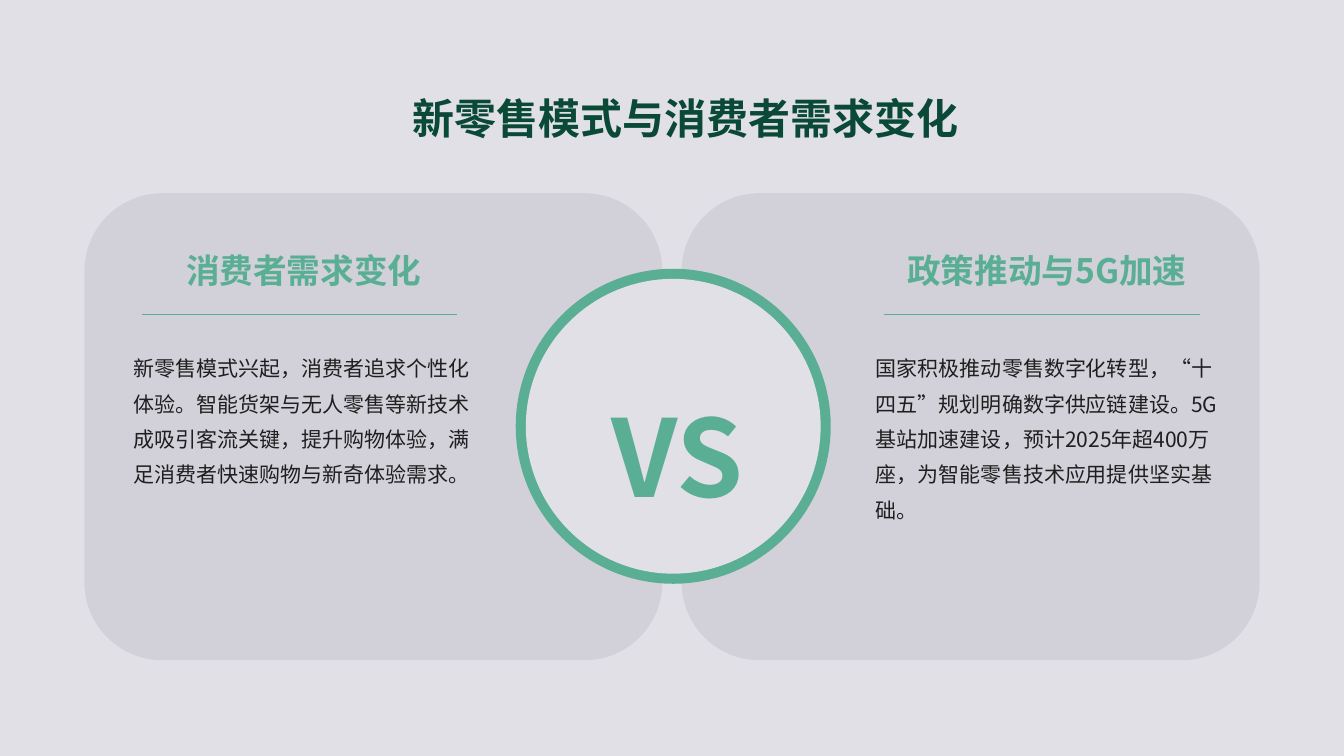
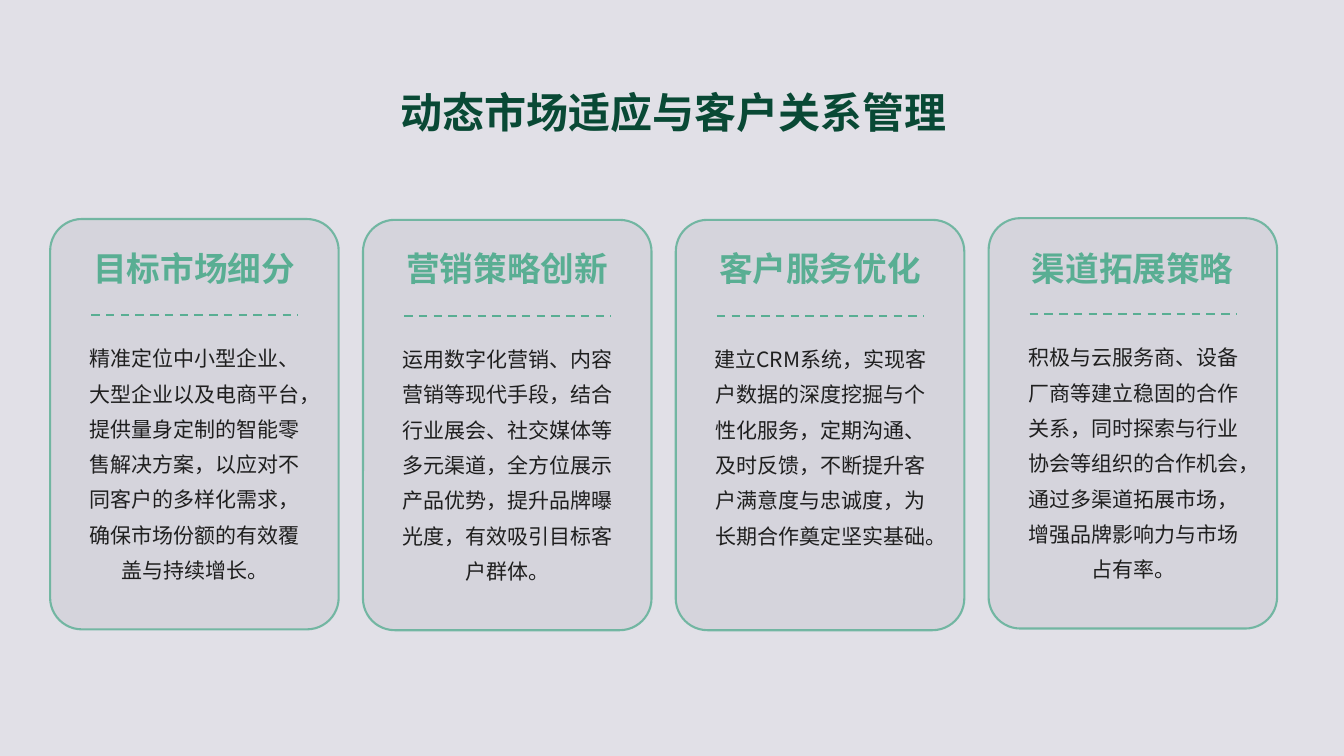
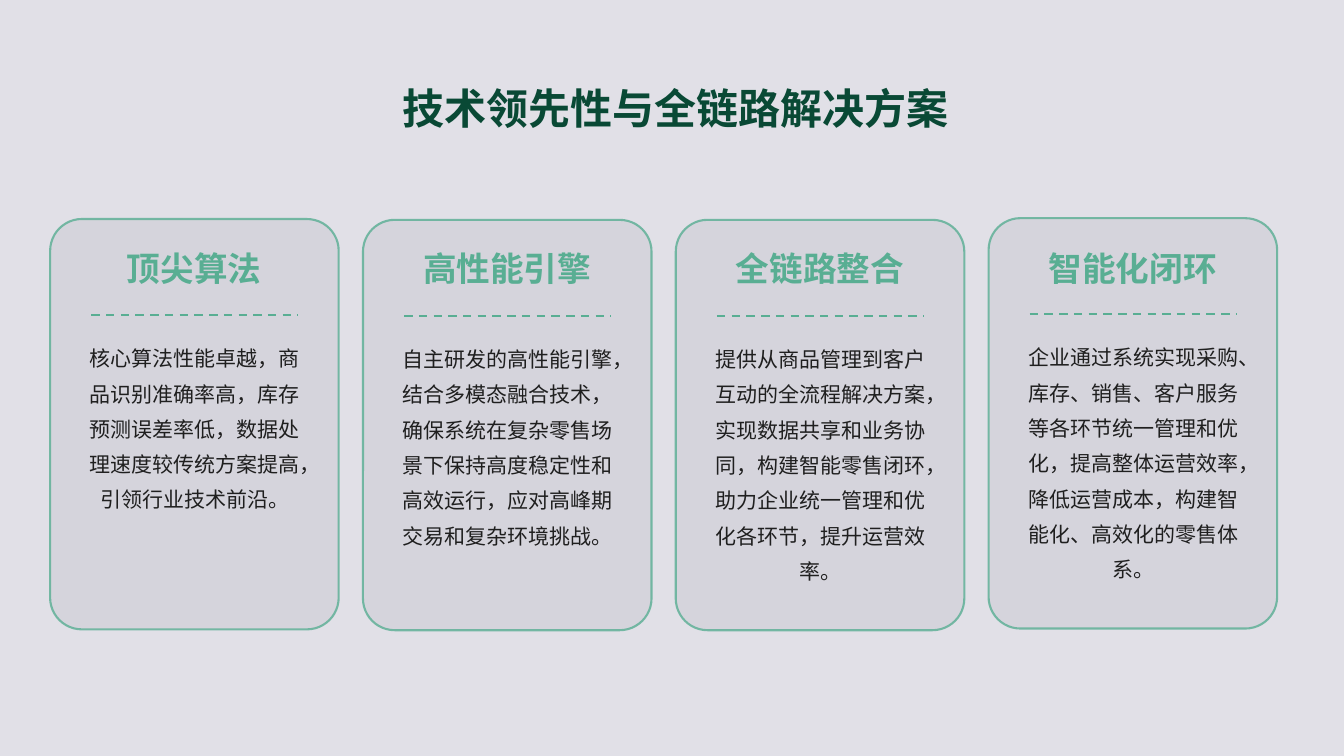
from lxml import etree
from pptx import Presentation
from pptx.dml.color import RGBColor
from pptx.enum.dml import MSO_LINE
from pptx.enum.lang import MSO_LANGUAGE_ID
from pptx.enum.shapes import MSO_CONNECTOR, MSO_SHAPE
from pptx.enum.text import MSO_ANCHOR, PP_ALIGN
from pptx.oxml.ns import qn
from pptx.util import Inches, Pt

ROUND, OVAL = MSO_SHAPE.ROUNDED_RECTANGLE, MSO_SHAPE.OVAL
STRAIGHT, DASH = MSO_CONNECTOR.STRAIGHT, MSO_LINE.DASH
LEFT, CENTER = PP_ALIGN.LEFT, PP_ALIGN.CENTER
TOP, MIDDLE = MSO_ANCHOR.TOP, MSO_ANCHOR.MIDDLE
CHINESE = MSO_LANGUAGE_ID.SIMPLIFIED_CHINESE

COLORS = {"back": "E1E0E7", "card": "D2D1DA", "mint": "59AE93",
          "pine": "094935", "ink": "1F1F1F"}
FONT = "Noto Sans CJK SC"
COLS, ROWS = 160, 90
WIDE = (0.14, 0.14, 0.06, 0.14)
SLIM = (0.1, 0.05, 0.1, 0.05)


def tint(name):
    return RGBColor.from_string(COLORS[name])


class Deck:
    """Holds the style and the current slide; lengths are grid columns and rows."""

    def __init__(self):
        self.prs = Presentation()
        self.prs.slide_width, self.prs.slide_height = Inches(13.33), Inches(7.5)
        fill = self.prs.slide_master.background.fill
        fill.solid()
        fill.fore_color.rgb = tint("back")

    def grid(self, *spans):
        """Turn alternating column and row counts into lengths."""
        units = (self.prs.slide_width / COLS, self.prs.slide_height / ROWS)
        return [round(span * units[i % 2]) for i, span in enumerate(spans)]

    def page(self, title, x, y):
        self.slide = self.prs.slides.add_slide(self.prs.slide_layouts[6])
        self.text(title, (x, y, 147.5, 12), 30, "pine", bold=True,
                  anchor=MIDDLE, space=1.4)

    def shape(self, kind, box, fill, line=None, adj=None, alpha=None):
        item = self.slide.shapes.add_shape(kind, *self.grid(*box))
        item.shadow.inherit = False
        item.fill.solid()
        item.fill.fore_color.rgb = tint(fill)
        if line:
            item.line.color.rgb = tint(line)
            item.line.width = Pt(1.5)
        else:
            item.line.fill.background()
        if adj:
            item.adjustments[0] = adj
        if alpha:
            for color in item.element.spPr.iter(qn("a:srgbClr")):
                etree.SubElement(color, qn("a:alpha"), val=str(alpha * 1000))

    def rule(self, x, y, width, weight, dash=None):
        item = self.slide.shapes.add_connector(
            STRAIGHT, *self.grid(x, y, x + width, y))
        item.line.color.rgb = tint("mint")
        item.line.width = Pt(weight)
        if dash:
            item.line.dash_style = dash
        etree.SubElement(item.element.spPr, qn("a:effectLst"))

    def text(self, words, box, size, color, bold=False, align=CENTER,
             anchor=TOP, space=1.0, inset=WIDE):
        frame = self.slide.shapes.add_textbox(*self.grid(*box)).text_frame
        frame.word_wrap = True
        frame.vertical_anchor = anchor
        (frame.margin_left, frame.margin_top,
         frame.margin_right, frame.margin_bottom) = map(Inches, inset)
        para = frame.paragraphs[0]
        para.alignment, para.line_spacing = align, space
        run = para.add_run()
        run.text = words
        font = run.font
        font.name, font.size, font.bold = FONT, Pt(size), bold
        font.color.rgb = tint(color)
        font.language_id = CHINESE
        etree.SubElement(run._r.get_or_add_rPr(), qn("a:ea"), typeface=FONT)

    def side(self, x, width, head, body):
        """Heading, thin rule and paragraph on one side of the contrast."""
        self.text(head, (x, 26.2, width, 9.5), 24, "mint", bold=True,
                  anchor=MIDDLE, space=1.5)
        self.rule(x + 2.7, 37.45, 37.5, 0.75)
        self.text(body, (x, 39.5, width, 34.8), 15, "ink",
                  align=LEFT, space=1.4)

    def cards(self, items):
        drops = (0, 0.1, 0.1, -0.1)
        for i, ((head, body), drop) in enumerate(zip(items, drops)):
            x, y = 5.97 + 37.24 * i, 26.08 + drop
            self.shape(ROUND, (x, y, 34.35, 48.85), "card", "mint", 0.11, 80)
            self.rule(x + 4.9, y + 11.42, 24.6, 1.5, DASH)
            self.text(body, (x + 2.8, y + 13.3, 28.8, 33), 15, "ink",
                      space=1.4, inset=SLIM)
            self.text(head, (x + 3.85, 28.7, 26.6, 6.35), 24, "mint",
                      bold=True, anchor=MIDDLE, inset=SLIM)


def main():
    deck = Deck()

    deck.page("新零售模式与消费者需求变化", 7.4, 6.8)
    for x in (81.15, 10.05):
        deck.shape(ROUND, (x, 23, 68.8, 55.6), "card")
    for gap, fill in ((0, "mint"), (1.2, "back")):
        size = 37.5 - 2 * gap
        deck.shape(OVAL, (61.4 + gap, 32 + gap, size, size), fill)
    deck.text("VS", (65.4, 37.2, 29.6, 27.1), 76.5, "mint", bold=True, space=1.5)
    deck.side(14.25, 42.85, "消费者需求变化",
              "新零售模式兴起，消费者追求个性化体验。智能货架与无人零售等新技术"
              "成吸引客流关键，提升购物体验，满足消费者快速购物与新奇体验需求。")
    deck.side(102.6, 43.1, "政策推动与5G加速",
              "国家积极推动零售数字化转型，“十四五”规划明确数字供应链建设。"
              "5G基站加速建设，预计2025年超400万座，为智能零售技术应用提供坚实基础。")

    deck.page("动态市场适应与客户关系管理", 6, 6.1)
    deck.cards([
        ("目标市场细分",
         "精准定位中小型企业、大型企业以及电商平台，提供量身定制的智能零售"
         "解决方案，以应对不同客户的多样化需求，确保市场份额的有效覆盖与持续增长。"),
        ("营销策略创新",
         "运用数字化营销、内容营销等现代手段，结合行业展会、社交媒体等多元渠道，"
         "全方位展示产品优势，提升品牌曝光度，有效吸引目标客户群体。"),
        ("客户服务优化",
         "建立CRM系统，实现客户数据的深度挖掘与个性化服务，定期沟通、及时反馈，"
         "不断提升客户满意度与忠诚度，为长期合作奠定坚实基础。"),
        ("渠道拓展策略",
         "积极与云服务商、设备厂商等建立稳固的合作关系，同时探索与行业协会等"
         "组织的合作机会，通过多渠道拓展市场，增强品牌影响力与市场占有率。"),
    ])

    deck.page("技术领先性与全链路解决方案", 6.2, 5.6)
    deck.cards([
        ("顶尖算法",
         "核心算法性能卓越，商品识别准确率高，库存预测误差率低，"
         "数据处理速度较传统方案提高，引领行业技术前沿。"),
        ("高性能引擎",
         "自主研发的高性能引擎，结合多模态融合技术，确保系统在复杂零售场景下"
         "保持高度稳定性和高效运行，应对高峰期交易和复杂环境挑战。"),
        ("全链路整合",
         "提供从商品管理到客户互动的全流程解决方案，实现数据共享和业务协同，"
         "构建智能零售闭环，助力企业统一管理和优化各环节，提升运营效率。"),
        ("智能化闭环",
         "企业通过系统实现采购、库存、销售、客户服务等各环节统一管理和优化，"
         "提高整体运营效率，降低运营成本，构建智能化、高效化的零售体系。"),
    ])

    deck.prs.save("out.pptx")


if __name__ == "__main__":
    main()
